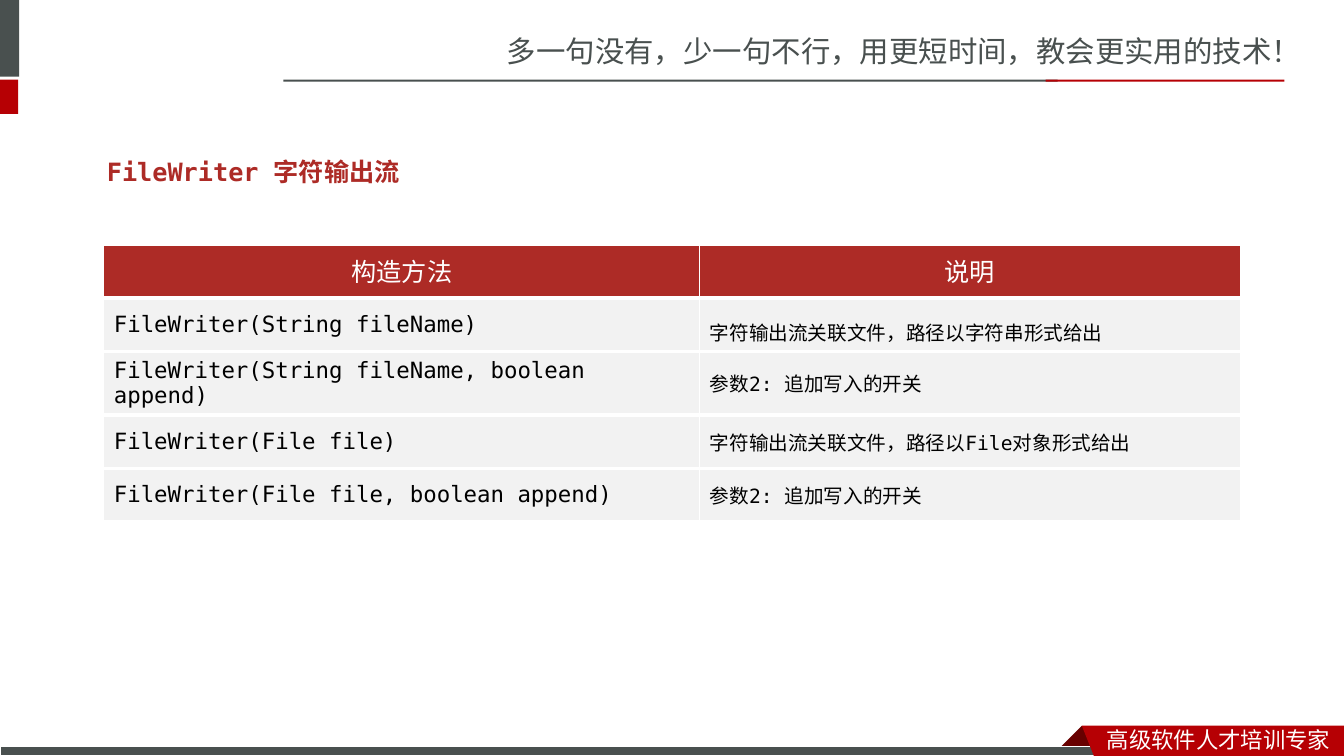
import dataclasses

import pptx
import pptx.dml.color
import pptx.enum.shapes
import pptx.enum.text
import pptx.oxml.ns
import pptx.util
from lxml import etree

Inches = pptx.util.Inches
Pt = pptx.util.Pt
ALIGN = pptx.enum.text.PP_ALIGN
ANCHOR = pptx.enum.text.MSO_ANCHOR


@dataclasses.dataclass(frozen=True)
class Theme:
    slate: str = "49504F"
    red: str = "B60004"
    dark_red: str = "680000"
    brick: str = "AD2B26"
    pale: str = "F2F2F2"
    white: str = "FFFFFF"
    black: str = "000000"
    chinese: str = "Noto Sans CJK SC"
    code: str = "DejaVu Sans Mono"
    heading: str = "Roboto"
    slogan_size: int = 21
    title_size: int = 18
    code_size: int = 16
    note_size: int = 14


THEME = Theme()

CONSTRUCTORS = [
    ("FileWriter(String fileName)", "字符输出流关联文件，路径以字符串形式给出"),
    ("FileWriter(String fileName, boolean append)", "参数2: 追加写入的开关"),
    ("FileWriter(File file)", "字符输出流关联文件，路径以File对象形式给出"),
    ("FileWriter(File file, boolean append)", "参数2: 追加写入的开关"),
]


def rgb(color):
    return pptx.dml.color.RGBColor.from_string(color)


def apply(target, formats):
    for name, value in formats.items():
        setattr(target, name, value)


def write(frame, text, size, color, font, bold=False, **para_formats):
    para = frame.paragraphs[0]
    apply(para, para_formats)
    span = para.add_run()
    span.text = text
    apply(span.font, {"size": Pt(size), "name": font, "bold": bold})
    span.font.color.rgb = rgb(color)
    east_asian = etree.SubElement(span.font._element, pptx.oxml.ns.qn("a:ea"))
    east_asian.set("typeface", THEME.chinese)


def paint(shape, color):
    shape.shadow.inherit = False
    shape.fill.solid()
    shape.fill.fore_color.rgb = rgb(color)
    shape.line.fill.background()


def add_bar(page, left, top, width, height, color):
    kind = pptx.enum.shapes.MSO_SHAPE.RECTANGLE
    bar = page.shapes.add_shape(kind, *map(Inches, (left, top, width, height)))
    paint(bar, color)
    return bar


def add_outline(page, left, top, points, color):
    corners = [(Inches(left + x), Inches(top + y)) for x, y in points]
    builder = page.shapes.build_freeform(*corners[0])
    builder.add_line_segments(corners[1:], close=True)
    paint(builder.convert_to_shape(), color)


def add_label(page, left, top, width, height, text, size, color):
    box = page.shapes.add_textbox(*map(Inches, (left, top, width, height)))
    box.text_frame.word_wrap = True
    write(box.text_frame, text, size, color, THEME.chinese)


def add_header(page, left, top, width):
    add_bar(page, left, top, 0.19, 0.76, THEME.slate)
    add_bar(page, left, top + 0.79, 0.18, 0.34, THEME.red)
    add_bar(page, left + 2.81, top + 0.79, 7.68, 0.02, THEME.slate)
    add_bar(page, left + 10.37, top + 0.79, 2.37, 0.02, THEME.red)
    add_label(page, left + 4.93, top + 0.28, width - 4.93, 0.47,
              "多一句没有，少一句不行，用更短时间，教会更实用的技术！",
              THEME.slogan_size, THEME.slate)


def add_footer(page, left, top, width, height):
    ribbon = left + 10.73
    right = left + width - ribbon
    add_outline(page, ribbon, top, [(0, 0), (0.22, 0.22), (-0.22, 0.22)], THEME.dark_red)
    floor = add_bar(page, left, top + 0.21, 10.99, height - 0.21, THEME.slate)
    floor.line.color.rgb = rgb(THEME.white)
    floor.line.width = Pt(0.75)
    add_outline(page, ribbon, top,
                [(0, 0), (right, 0), (right, height), (0.12, height)], THEME.red)
    add_label(page, ribbon + 0.15, top - 0.05, right - 0.15, 0.37,
              "高级软件人才培训专家", THEME.code_size, THEME.white)


def add_title(page, left, top, width, height):
    title = page.shapes.title
    apply(title, dict(zip(("left", "top", "width", "height"),
                          map(Inches, (left, top, width, height)))))
    apply(title.text_frame, {
        "word_wrap": True,
        "vertical_anchor": ANCHOR.TOP,
        "auto_size": pptx.enum.text.MSO_AUTO_SIZE.NONE,
    })
    write(title.text_frame, "FileWriter 字符输出流", THEME.title_size, THEME.brick,
          THEME.code, bold=True, alignment=ALIGN.LEFT, line_spacing=2.0, space_before=Pt(0))


def add_borders(cell, widths):
    properties = cell._tc.get_or_add_tcPr()
    for side, width in widths.items():
        border = etree.SubElement(properties, pptx.oxml.ns.qn("a:ln" + side))
        border.set("w", str(Pt(width)))
        fill = etree.SubElement(border, pptx.oxml.ns.qn("a:solidFill"))
        etree.SubElement(fill, pptx.oxml.ns.qn("a:srgbClr")).set("val", THEME.white)


def style_cell(cell, color, top_border):
    add_borders(cell, {"L": 1, "R": 1, "T": top_border, "B": 3})
    cell.fill.solid()
    cell.fill.fore_color.rgb = rgb(color)
    cell.vertical_anchor = ANCHOR.MIDDLE


def add_constructor_table(page, left, top, width, height):
    frame = page.shapes.add_table(len(CONSTRUCTORS) + 1, 2,
                                  *map(Inches, (left, top, width, height)))
    table = frame.table
    table.columns[0].width = Inches(5.91)
    table.columns[1].width = Inches(width - 5.91)
    for cell, text in zip(table.rows[0].cells, ("构造方法", "说明")):
        style_cell(cell, THEME.brick, 1)
        write(cell.text_frame, text, THEME.title_size, THEME.white, THEME.heading,
              alignment=ALIGN.CENTER, line_spacing=Pt(24))
    for index, texts in enumerate(CONSTRUCTORS, 1):
        sizes = (THEME.code_size, THEME.note_size)
        for cell, text, size in zip(table.rows[index].cells, texts, sizes):
            style_cell(cell, THEME.pale, 3)
            write(cell.text_frame, text, size, THEME.black, THEME.code)
    table.cell(1, 1).text_frame.paragraphs[0].line_spacing = 1.5


def main():
    deck = pptx.Presentation()
    apply(deck, {"slide_width": Inches(13.33), "slide_height": Inches(7.5)})
    page = deck.slides.add_slide(deck.slide_layouts.get_by_name("Title Only"))
    add_header(page, 0, 0, 13.33)
    add_footer(page, 0, 7.2, 13.33, 0.3)
    add_title(page, 0.96, 1.2, 5.12, 0.63)
    add_constructor_table(page, 1.03, 2.43, 11.27, 2.64)
    deck.save("out.pptx")


if __name__ == "__main__":
    main()
